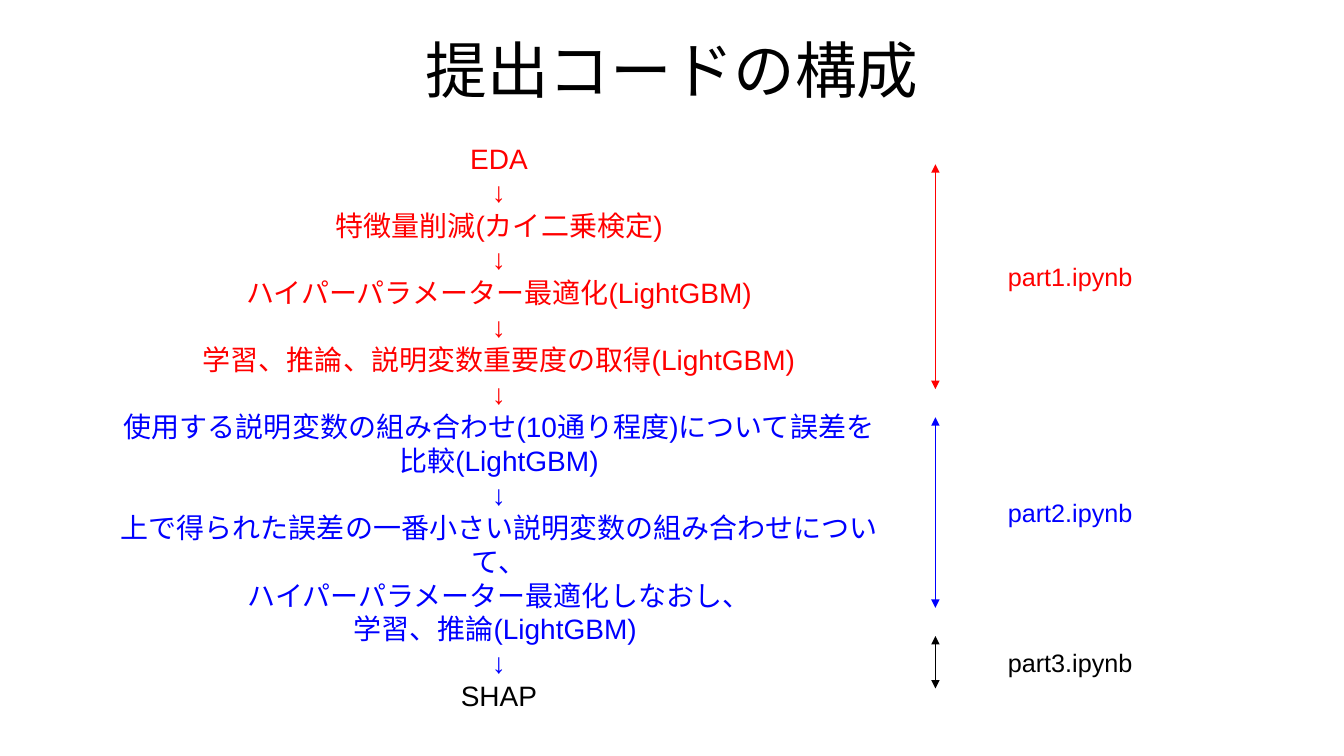
"""Build the slide on how the submitted code is split into notebooks."""
from lxml.etree import SubElement
from pptx import Presentation
from pptx.dml.color import RGBColor
from pptx.enum.shapes import MSO_CONNECTOR
from pptx.enum.text import MSO_ANCHOR as Anchor, PP_ALIGN as Align
from pptx.oxml.ns import qn
from pptx.util import Pt

PX = 9144
FONT = "Arial"
RED = RGBColor(0xFF, 0x00, 0x00)
BLUE = RGBColor(0x00, 0x00, 0xFF)
BLACK = RGBColor(0x00, 0x00, 0x00)

TITLE = "提出コードの構成"
PARTS = [
    {"notebook": "part1.ipynb", "color": RED, "span": (163, 386), "steps": [
        ["EDA"],
        ["特徴量削減(カイ二乗検定)"],
        ["ハイパーパラメーター最適化(LightGBM)"],
        ["学習、推論、説明変数重要度の取得(LightGBM)"],
    ]},
    {"notebook": "part2.ipynb", "color": BLUE, "span": (414, 603), "steps": [
        ["使用する説明変数の組み合わせ(10通り程度)について誤差を比較(LightGBM)"],
        ["上で得られた誤差の一番小さい説明変数の組み合わせについて、",
         "ハイパーパラメーター最適化しなおし、",
         "学習、推論(LightGBM) "],
    ]},
    {"notebook": "part3.ipynb", "color": BLACK, "span": (631, 683), "steps": [
        ["SHAP"],
    ]},
]

TITLE_BOX = (92, 0, 1150, 145)
FLOW_BOX = (104, 135, 782, 589)
SPAN_X = 928
LABEL_X, LABEL_W, LABEL_H = 990, 227, 40


def add_text(slide, box, lines, size, align=Align.LEFT, anchor=Anchor.TOP, spacing=None):
    """Add a text box with one paragraph per (text, color) line."""
    frame = slide.shapes.add_textbox(*(n * PX for n in box)).text_frame
    frame.word_wrap = True
    frame.vertical_anchor = anchor
    for i, (text, color) in enumerate(lines):
        paragraph = frame.add_paragraph() if i else frame.paragraphs[0]
        paragraph.alignment = align
        paragraph.line_spacing = spacing
        run = paragraph.add_run()
        run.text = text
        run.font.size = Pt(size)
        run.font.name = FONT
        run.font.color.rgb = color


def add_span(slide, top, bottom, color):
    """Add a vertical line with an arrowhead at each end."""
    span = slide.shapes.add_connector(
        MSO_CONNECTOR.STRAIGHT, SPAN_X * PX, top * PX, SPAN_X * PX, bottom * PX)
    span.line.color.rgb = color
    span.line.width = Pt(0.5)
    outline = span.line._get_or_add_ln()
    for end in ("a:headEnd", "a:tailEnd"):
        SubElement(outline, qn(end), type="triangle")
    SubElement(span._element.spPr, qn("a:effectLst"))


def flow_lines():
    """List every step line, with a down arrow after each step but the last."""
    lines = []
    for part in PARTS:
        for step in part["steps"]:
            lines += [(text, part["color"]) for text in [*step, "↓"]]
    return lines[:-1]


def main():
    """Draw the title, the flow and the notebook spans."""
    deck = Presentation()
    deck.slide_width, deck.slide_height = 12192000, 750 * PX
    slide = deck.slides.add_slide(deck.slide_layouts[6])
    add_text(slide, TITLE_BOX, [(TITLE, BLACK)], 44,
             align=Align.CENTER, anchor=Anchor.MIDDLE, spacing=0.9)
    add_text(slide, FLOW_BOX, flow_lines(), 20, align=Align.CENTER)
    for part in PARTS:
        top, bottom = part["span"]
        add_span(slide, top, bottom, part["color"])
        label_y = (top + bottom - LABEL_H) // 2
        add_text(slide, (LABEL_X, label_y, LABEL_W, LABEL_H),
                 [(part["notebook"], part["color"])], 18)
    deck.save("out.pptx")


if __name__ == "__main__":
    main()
